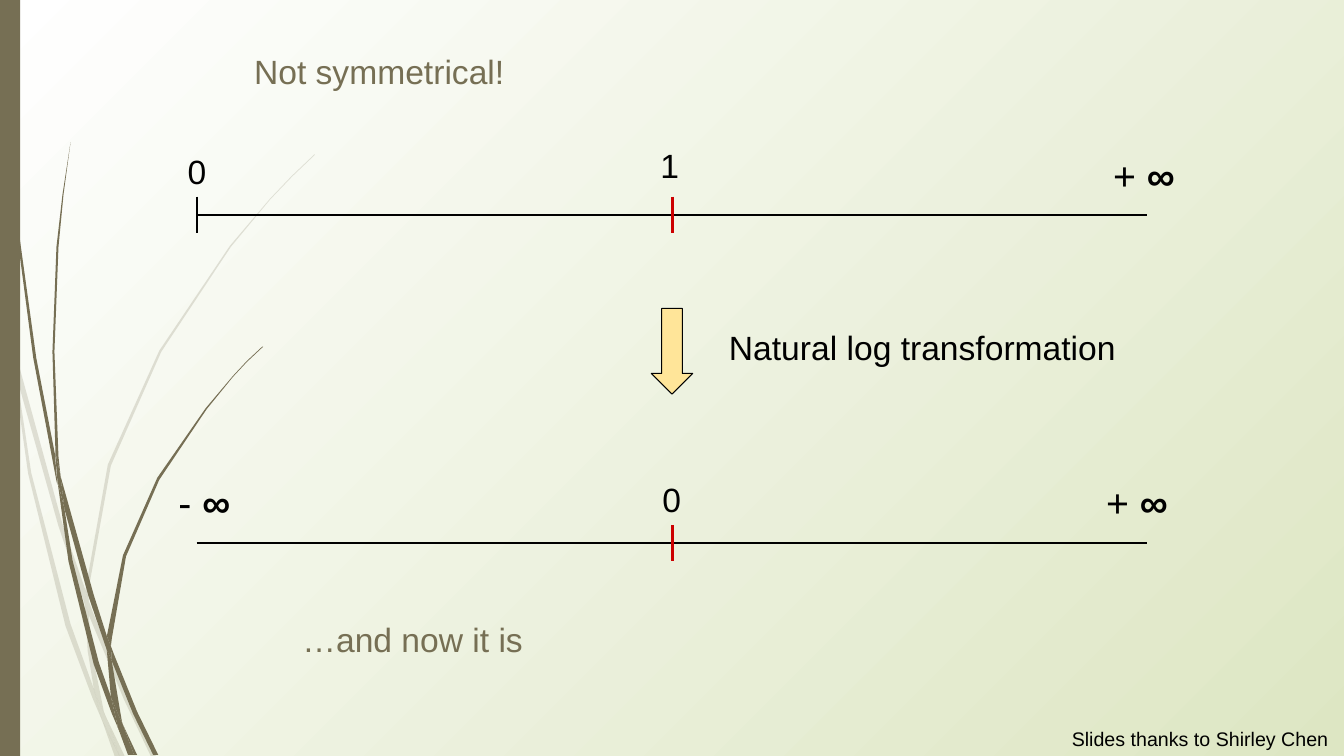
from dataclasses import dataclass
from lxml import etree
from pptx import Presentation
from pptx import util as u
from pptx.dml.color import RGBColor
from pptx.enum import shapes, text
from pptx.oxml import ns

COLORS = {
    "olive": "766F54",
    "black": "000000",
    "red": "CC0000",
    "yellow": "FFE599",
    "white": "FFFFFF",
    "pale_green": "DDE6C3",
}
FONT = "Arial"
AXIS_LEFT, AXIS_MIDDLE, AXIS_RIGHT = 1.95, 6.67, 11.38
UPPER_AXIS, LOWER_AXIS = 2.13, 5.39
TICK_HALF = 0.18

PALE_BLADES = [
    "0.11 3.5 0.09 3.22 0 2.82 0 2.99 0.1 3.44",
    "0.58 5.22 0.84 5.99 0.85 5.86 0.62 5.2 0.14 3.45 0.17 3.76",
    "0.92 6.07 0.88 5.96 0.88 6.1 1.23 6.94 1.5 7.51 1.55 7.51 1.27 6.92",
    "1.19 7.51 1.24 7.51 1.05 7.11",
    "0.93 6.83 0.7 6.19 0.31 4.69 0.17 3.76 0.11 3.5 0.28 4.7 0.65 6.21 0.92 6.93 1.01 7.14 0.99 7.07",
    "0.84 5.99 0.87 6.46 0.93 6.83 0.96 6.92 1.05 7.11 1.03 7.06 0.91 6.46 0.88 6.1 0.88 6.08",
    "0.88 5.84 1.1 4.62 1.6 3.49 2.29 2.45 2.68 1.98 2.9 1.75 3.12 1.54 3.12 1.53 "
    "2.89 1.75 2.68 1.97 2.28 2.44 1.58 3.48 1.07 4.61 0.85 5.84 0.85 5.86 0.88 5.96",
    "1.01 7.14 1.14 7.51 1.19 7.51",
    "0.88 6.08 0.88 6.1 0.88 5.96 0.85 5.86 0.84 5.99",
    "0.96 6.92 0.93 6.83 0.99 7.07 1.01 7.14 1.19 7.51 1.05 7.11",
]
DARK_BLADES = [
    "0.07 1.1 0.17 2.33 0.33 3.55 0.56 4.77 0.57 4.81 0.55 4.57 0.55 4.53 0.36 3.55 0.19 2.32 "
    "0.08 1.09 0.05 0.48 0.04 0 0.03 0 0.04 0.48",
    "0.88 5.92 1.06 6.45 1.06 6.33 1.06 6.31 0.93 5.9 0.6 4.72 0.64 5.05",
    "1.13 6.49 1.1 6.41 1.11 6.56 1.32 7.08 1.52 7.49 1.57 7.49 1.36 7.06",
    "1.1 6.91 0.98 6.57 0.72 5.56 0.64 5.05 0.57 4.77 0.68 5.57 0.93 6.59 1.11 7.08 1.17 7.22 1.16 7.17",
    "0.6 4.72 0.58 4.53 0.54 3.49 0.58 2.45 0.63 1.93 0.7 1.41 0.62 1.93 0.56 2.45 0.52 3.49 0.55 4.49",
    "1.33 7.49 1.36 7.49 1.22 7.19",
    "0.57 4.77 0.64 5.05 0.6 4.72 0.55 4.49 0.55 4.53",
    "1.11 6.33 1.25 5.52 1.58 4.76 2.05 4.06 2.31 3.74 2.45 3.59 2.61 3.44 2.6 3.44 "
    "2.45 3.58 2.31 3.73 2.04 4.05 1.56 4.74 1.22 5.51 1.06 6.31 1.1 6.41",
    "1.17 7.22 1.27 7.49 1.31 7.49",
    "1.06 6.45 1.1 6.91 1.16 7.06 1.22 7.19 1.21 7.16 1.11 6.56 1.09 6.51",
    "1.06 6.45 1.09 6.51 1.11 6.56 1.1 6.41 1.06 6.31 1.06 6.33",
    "1.16 7.06 1.1 6.91 1.16 7.17 1.17 7.22 1.3 7.49 1.33 7.49 1.22 7.19",
]


@dataclass
class Line:
    start: tuple[float, float]
    end: tuple[float, float]
    color: str = "black"
    width: float = 1.5


@dataclass
class Label:
    words: str
    box: tuple[float, float, float, float]
    size: int = 24
    color: str = "black"
    bold_end: str = ""
    margins: tuple[float, float] = (0.13, 0.13)
    align: text.PP_ALIGN = text.PP_ALIGN.LEFT


def tick(x: float, y: float, color: str, width: float) -> Line:
    return Line((x, y - TICK_HALF), (x, y + TICK_HALF), color, width)


LINES = [
    Line((AXIS_LEFT, UPPER_AXIS), (AXIS_RIGHT, UPPER_AXIS)),
    tick(AXIS_LEFT, UPPER_AXIS, "black", 1.5),
    tick(AXIS_MIDDLE, UPPER_AXIS, "red", 2.25),
    Line((AXIS_LEFT, LOWER_AXIS), (AXIS_RIGHT, LOWER_AXIS)),
    tick(AXIS_MIDDLE, LOWER_AXIS, "red", 2.25),
]
TITLE = Label("Not symmetrical!", (2.39, 0.37, 2.89, 0.71), color="olive")
LABELS = [
    Label("0", (1.73, 1.37, 0.45, 0.47)),
    Label("0", (6.44, 4.62, 0.45, 0.47)),
    Label("1", (6.42, 1.31, 0.45, 0.47)),
    Label("+ ", (10.91, 1.37, 1.03, 0.47), 28, bold_end="∞"),
    Label("+ ", (10.84, 4.62, 1.03, 0.47), 28, bold_end="∞"),
    Label("- ", (1.64, 4.62, 1.03, 0.47), 28, bold_end="∞"),
    Label("Natural log transformation", (7.1, 3.11, 4.28, 0.47)),
    Label("…and now it is", (2.87, 6.01, 2.89, 0.71), color="olive"),
    Label("Slides thanks to Shirley Chen ", (10.21, 7.16, 3.12, 0.34), 14,
          margins=(0.1, 0.05), align=text.PP_ALIGN.RIGHT),
]


def rgb(name: str) -> RGBColor:
    return RGBColor.from_string(COLORS[name])


def paint_background(slide) -> None:
    fill = slide.background.fill
    fill.gradient()
    for stop, name in zip(fill.gradient_stops, ("white", "pale_green")):
        stop.color.rgb = rgb(name)
    gradient = slide.element.find(".//" + ns.qn("a:gradFill"))
    gradient.remove(gradient.find(ns.qn("a:lin")))
    circle = etree.SubElement(gradient, ns.qn("a:path"), path="circle")
    etree.SubElement(circle, ns.qn("a:fillToRect"), r="100000", b="100000")


def style_shape(shape, color: str) -> None:
    shape.shadow.inherit = False
    shape.fill.solid()
    shape.fill.fore_color.rgb = rgb(color)
    shape.line.fill.background()


def draw_blade(slide, outline: str, opacity: int) -> None:
    lengths = [u.Inches(float(number)) for number in outline.split()]
    points = list(zip(lengths[::2], lengths[1::2]))
    builder = slide.shapes.build_freeform(*points[0])
    builder.add_line_segments(points[1:], close=True)
    shape = builder.convert_to_shape()
    style_shape(shape, "olive")
    if opacity < 100:
        color = shape.element.spPr.find(".//" + ns.qn("a:srgbClr"))
        etree.SubElement(color, ns.qn("a:alpha"), val=str(opacity * 1000))


def draw_preset(slide, kind: shapes.MSO_SHAPE, box: tuple[float, float, float, float], color: str):
    shape = slide.shapes.add_shape(kind, *map(u.Inches, box))
    style_shape(shape, color)
    return shape


def draw_line(slide, line: Line) -> None:
    ends = map(u.Inches, line.start + line.end)
    connector = slide.shapes.add_connector(shapes.MSO_CONNECTOR.STRAIGHT, *ends)
    connector.line.color.rgb = rgb(line.color)
    connector.line.width = u.Pt(line.width)
    etree.SubElement(connector.element.spPr, ns.qn("a:effectLst"))


def write_label(shape, label: Label) -> None:
    shape.left, shape.top, shape.width, shape.height = map(u.Inches, label.box)
    frame = shape.text_frame
    frame.word_wrap = True
    frame.auto_size = text.MSO_AUTO_SIZE.NONE
    frame.vertical_anchor = text.MSO_ANCHOR.TOP
    frame.margin_left = frame.margin_right = u.Inches(label.margins[0])
    frame.margin_top = frame.margin_bottom = u.Inches(label.margins[1])
    paragraph = frame.paragraphs[0]
    paragraph.alignment = label.align
    paragraph.font.name = FONT
    paragraph.font.size = u.Pt(label.size)
    paragraph.font.color.rgb = rgb(label.color)
    paragraph.add_run().text = label.words
    if label.bold_end:
        run = paragraph.add_run()
        run.text = label.bold_end
        run.font.bold = True


def main() -> None:
    presentation = Presentation()
    presentation.slide_width, presentation.slide_height = u.Inches(13.33), u.Inches(7.5)
    slide = presentation.slides.add_slide(presentation.slide_layouts[5])
    paint_background(slide)
    for blades, opacity in ((PALE_BLADES, 20), (DARK_BLADES, 100)):
        for outline in blades:
            draw_blade(slide, outline, opacity)
    draw_preset(slide, shapes.MSO_SHAPE.RECTANGLE, (0, 0, 0.2, 7.5), "olive")
    arrow = draw_preset(slide, shapes.MSO_SHAPE.DOWN_ARROW, (6.46, 3.06, 0.41, 0.85), "yellow")
    arrow.line.color.rgb = rgb("black")
    arrow.line.width = u.Pt(0.75)
    for line in LINES:
        draw_line(slide, line)
    write_label(slide.shapes.title, TITLE)
    for label in LABELS:
        write_label(slide.shapes.add_textbox(*map(u.Inches, label.box)), label)
    presentation.save("out.pptx")


if __name__ == "__main__":
    main()
